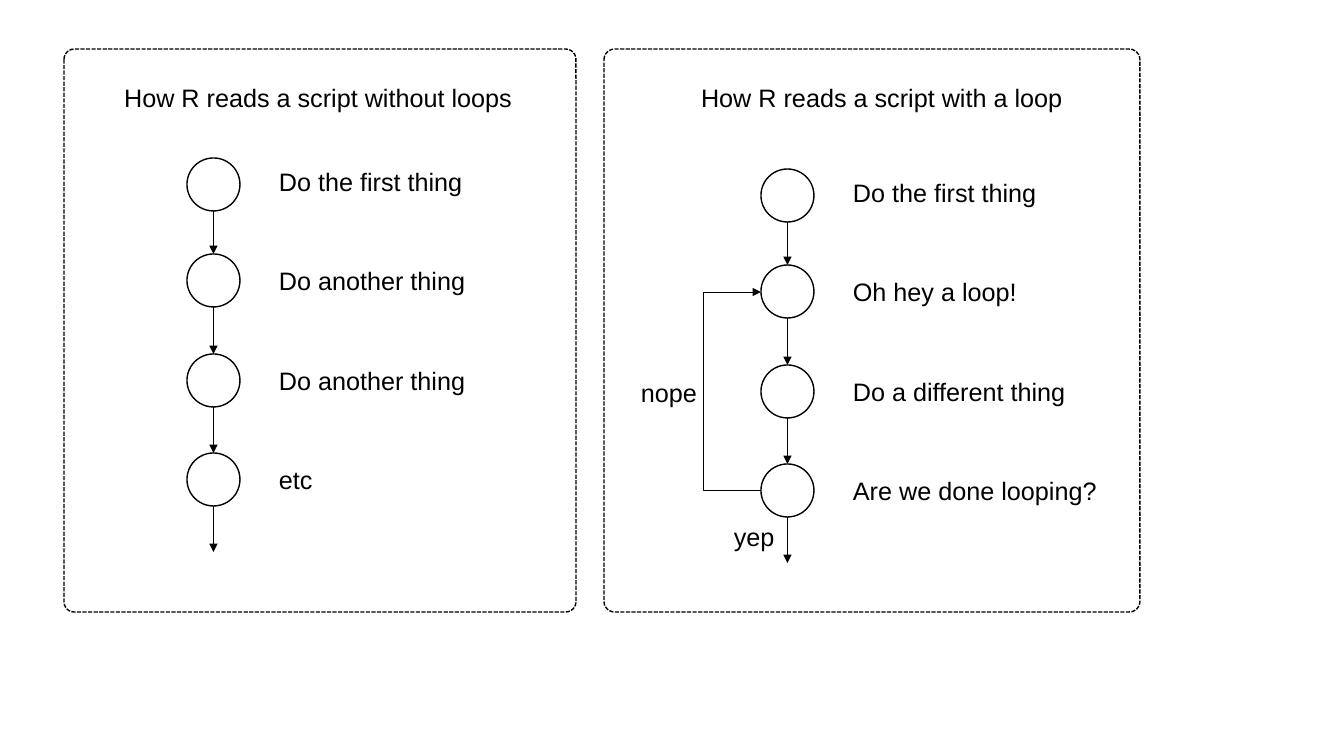
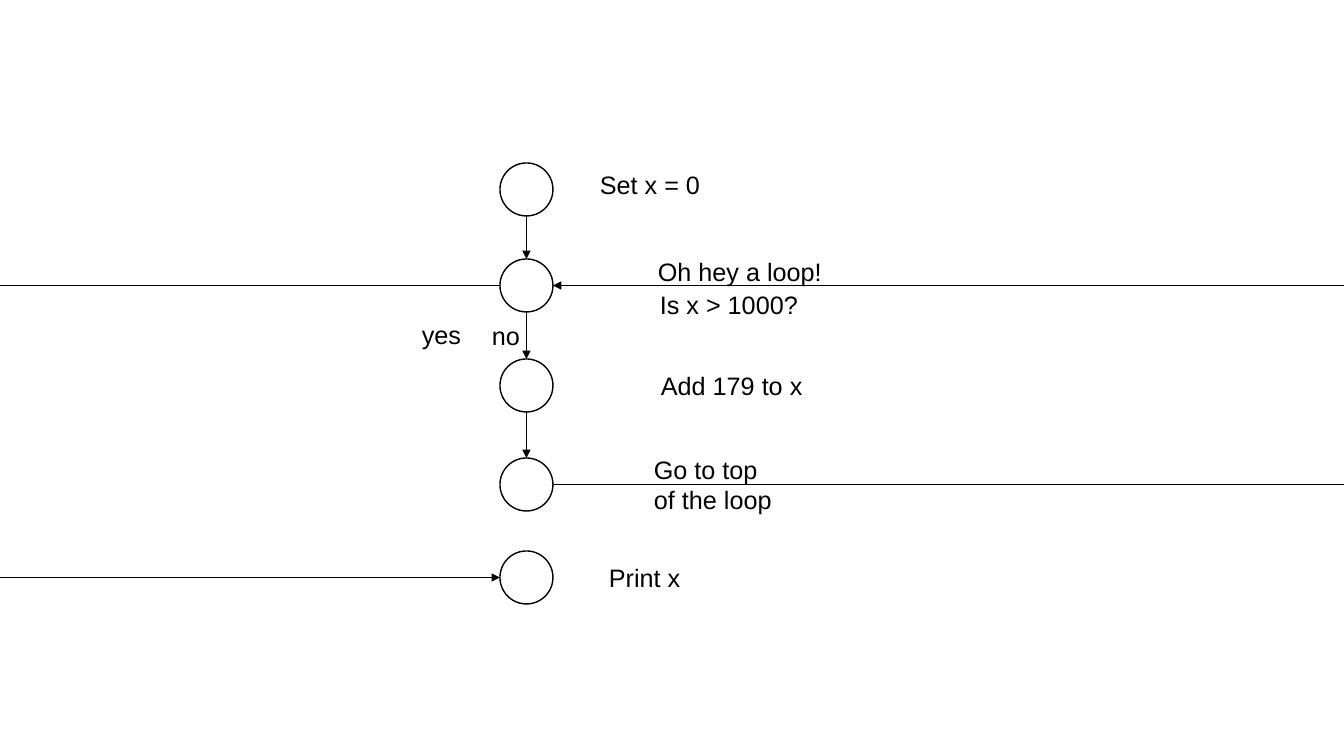
import dataclasses

import lxml.etree
import pptx
import pptx.dml.color
import pptx.enum.dml
import pptx.enum.shapes
import pptx.enum.text
import pptx.oxml.ns
import pptx.util

PX = 914400 / 100.8
SLIDE_WIDTH, SLIDE_HEIGHT = 1344, 756
COMPARISON_LAYOUT, BLANK_LAYOUT = 4, 6


@dataclasses.dataclass(frozen=True)
class Theme:
    ink: pptx.dml.color.RGBColor = pptx.dml.color.RGBColor(0, 0, 0)
    font: str = "Arial"
    text_size: int = 18
    outline: float = 1
    arrow: float = 0.5


THEME = Theme()
CIRCLE = 53
STEP_OFFSETS = (0, 96, 196, 295, 388)
LABEL_OFFSETS = (3, 102, 202, 301)
LABEL_INDENT = 82
LABEL_HEIGHT = 40
EXIT_ARROW = 46

# Panel boxes are left, top, width, height; headings are left, top, width.
# Each step is its label and the width of that label.
PANELS = [
    {
        "box": (64, 49, 512, 563),
        "heading": ("How R reads a script without loops", 114, 77, 412),
        "placeholder": 1,
        "column": (187, 158),
        "steps": [("Do the first thing", 206), ("Do another thing", 209),
                  ("Do another thing", 209), ("etc", 55)],
    },
    {
        "box": (604, 49, 536, 563),
        "heading": ("How R reads a script with a loop", 691, 77, 385),
        "placeholder": 3,
        "column": (761, 169),
        "steps": [("Do the first thing", 206), ("Oh hey a loop!", 185),
                  ("Do a different thing", 235), ("Are we done looping?", 266)],
    },
]
LOOP_LEFT = 703
LOOP_ANSWERS = [("nope", 631, 372, 77), ("yep", 724, 516, 62)]

COUNTER_COLUMN = (500, 163)
COUNTER_LABELS = [
    ("Set x = 0", 590, 164, 121),
    ("Oh hey a loop!", 648, 251, 185),
    ("Is x > 1000?", 650, 284, 159),
    ("yes", 412, 314, 62),
    ("no", 482, 315, 50),
    ("Add 179 to x", 651, 365, 163),
    ("Print x", 599, 557, 93),
]
WRAPPED_LABEL = ("Go to top of the loop", 644, 449, 146, 72)


def emu(*lengths):
    return [round(length * PX) for length in lengths]


def set_line(shape, width, arrow=False):
    shape.line.color.rgb = THEME.ink
    shape.line.width = pptx.util.Pt(width)
    if arrow:
        line = shape._element.spPr.find(pptx.oxml.ns.qn("a:ln"))
        lxml.etree.SubElement(line, pptx.oxml.ns.qn("a:tailEnd"), type="triangle")


def add_outline(slide, kind, left, top, width, height):
    shape = slide.shapes.add_shape(kind, *emu(left, top, width, height))
    shape.shadow.inherit = False
    shape.fill.background()
    set_line(shape, THEME.outline)
    return shape


def add_line(slide, start, end, arrow=True):
    line = slide.shapes.add_connector(
        pptx.enum.shapes.MSO_CONNECTOR.STRAIGHT, *emu(*start, *end))
    set_line(line, THEME.arrow, arrow)
    lxml.etree.SubElement(line._element.spPr, pptx.oxml.ns.qn("a:effectLst"))


def fill_text(box, text, wrap=False):
    frame = box.text_frame
    frame.text = text
    frame.word_wrap = wrap
    frame.auto_size = pptx.enum.text.MSO_AUTO_SIZE.SHAPE_TO_FIT_TEXT
    frame.vertical_anchor = pptx.enum.text.MSO_ANCHOR.TOP
    para = frame.paragraphs[0]
    para.space_before = pptx.util.Pt(0)
    para.font.name = THEME.font
    para.font.size = pptx.util.Pt(THEME.text_size)
    para.font.bold = False
    para.font.color.rgb = THEME.ink


def add_label(slide, text, left, top, width, height=LABEL_HEIGHT, wrap=False):
    box = slide.shapes.add_textbox(*emu(left, top, width, height))
    fill_text(box, text, wrap)


def add_column(slide, left, top, count, arrows):
    """Draw a column of circles, the first ones joined by downward arrows."""
    center = left + CIRCLE / 2
    tops = [top + offset for offset in STEP_OFFSETS[:count]]
    for circle_top in tops:
        add_outline(slide, pptx.enum.shapes.MSO_SHAPE.OVAL,
                    left, circle_top, CIRCLE, CIRCLE)
    for upper, lower in list(zip(tops, tops[1:]))[:arrows]:
        add_line(slide, (center, upper + CIRCLE), (center, lower))
    return [circle_top + CIRCLE / 2 for circle_top in tops]


def add_panel(slide, panel):
    frame = add_outline(slide, pptx.enum.shapes.MSO_SHAPE.ROUNDED_RECTANGLE,
                        *panel["box"])
    frame.adjustments[0] = 0.02
    frame.line.dash_style = pptx.enum.dml.MSO_LINE.SQUARE_DOT

    text, heading_left, heading_top, heading_width = panel["heading"]
    heading = slide.placeholders[panel["placeholder"]]
    heading.left, heading.top, heading.width, heading.height = emu(
        heading_left, heading_top, heading_width, LABEL_HEIGHT)
    fill_text(heading, text)

    left, top = panel["column"]
    steps = panel["steps"]
    middles = add_column(slide, left, top, len(steps), len(steps) - 1)
    for (label, width), offset in zip(steps, LABEL_OFFSETS):
        add_label(slide, label, left + LABEL_INDENT, top + offset, width)
    center, bottom = left + CIRCLE / 2, middles[-1] + CIRCLE / 2
    add_line(slide, (center, bottom), (center, bottom + EXIT_ARROW))
    return middles


def add_loop_arrow(slide, side, start_y, end_y):
    outline = slide.shapes.build_freeform(side, start_y, scale=PX)
    outline.add_line_segments(
        [(LOOP_LEFT, start_y), (LOOP_LEFT, end_y), (side, end_y)], close=False)
    arrow = outline.convert_to_shape()
    arrow.shadow.inherit = False
    arrow.fill.background()
    set_line(arrow, THEME.arrow, arrow=True)


def build_comparison(deck):
    slide = deck.slides.add_slide(deck.slide_layouts[COMPARISON_LAYOUT])
    used = [panel["placeholder"] for panel in PANELS]
    for placeholder in list(slide.placeholders):
        if placeholder.placeholder_format.idx not in used:
            slide.shapes._spTree.remove(placeholder._element)
    middles = [add_panel(slide, panel) for panel in PANELS][-1]
    add_loop_arrow(slide, PANELS[-1]["column"][0], middles[3], middles[1])
    for answer in LOOP_ANSWERS:
        add_label(slide, *answer)


def build_counter(deck):
    slide = deck.slides.add_slide(deck.slide_layouts[BLANK_LAYOUT])
    left, top = COUNTER_COLUMN
    right = left + CIRCLE
    middles = add_column(slide, left, top, len(STEP_OFFSETS), 3)
    loop, back, finish = middles[1], middles[3], middles[4]
    add_line(slide, (left, loop), (0, loop), arrow=False)
    add_line(slide, (0, finish), (left, finish))
    add_line(slide, (right, back), (SLIDE_WIDTH, back), arrow=False)
    add_line(slide, (SLIDE_WIDTH, loop), (right, loop))
    for label in COUNTER_LABELS:
        add_label(slide, *label)
    add_label(slide, *WRAPPED_LABEL, wrap=True)


def main():
    deck = pptx.Presentation()
    deck.slide_width, deck.slide_height = emu(SLIDE_WIDTH, SLIDE_HEIGHT)
    build_comparison(deck)
    build_counter(deck)
    deck.save("out.pptx")


if __name__ == "__main__":
    main()
